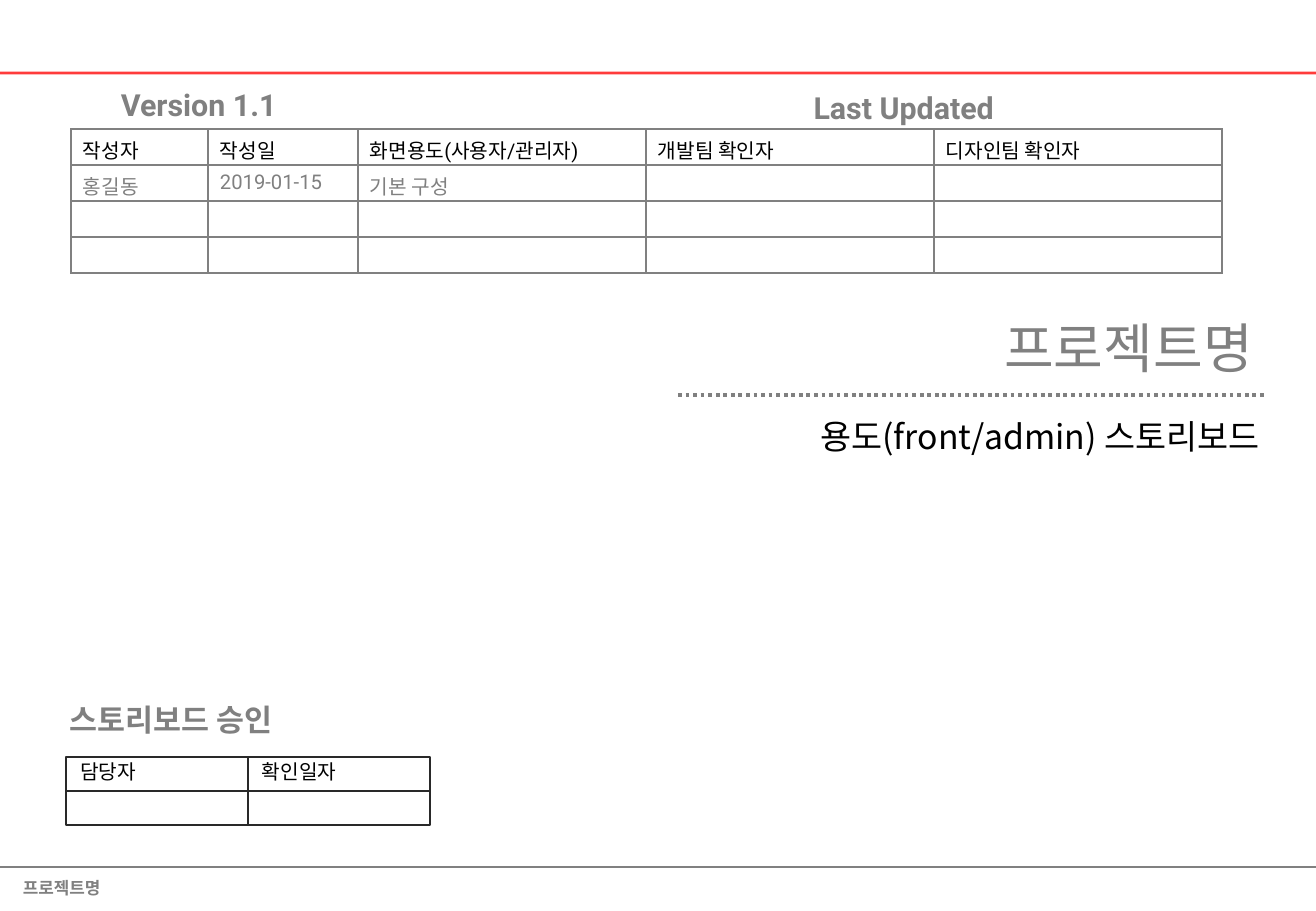
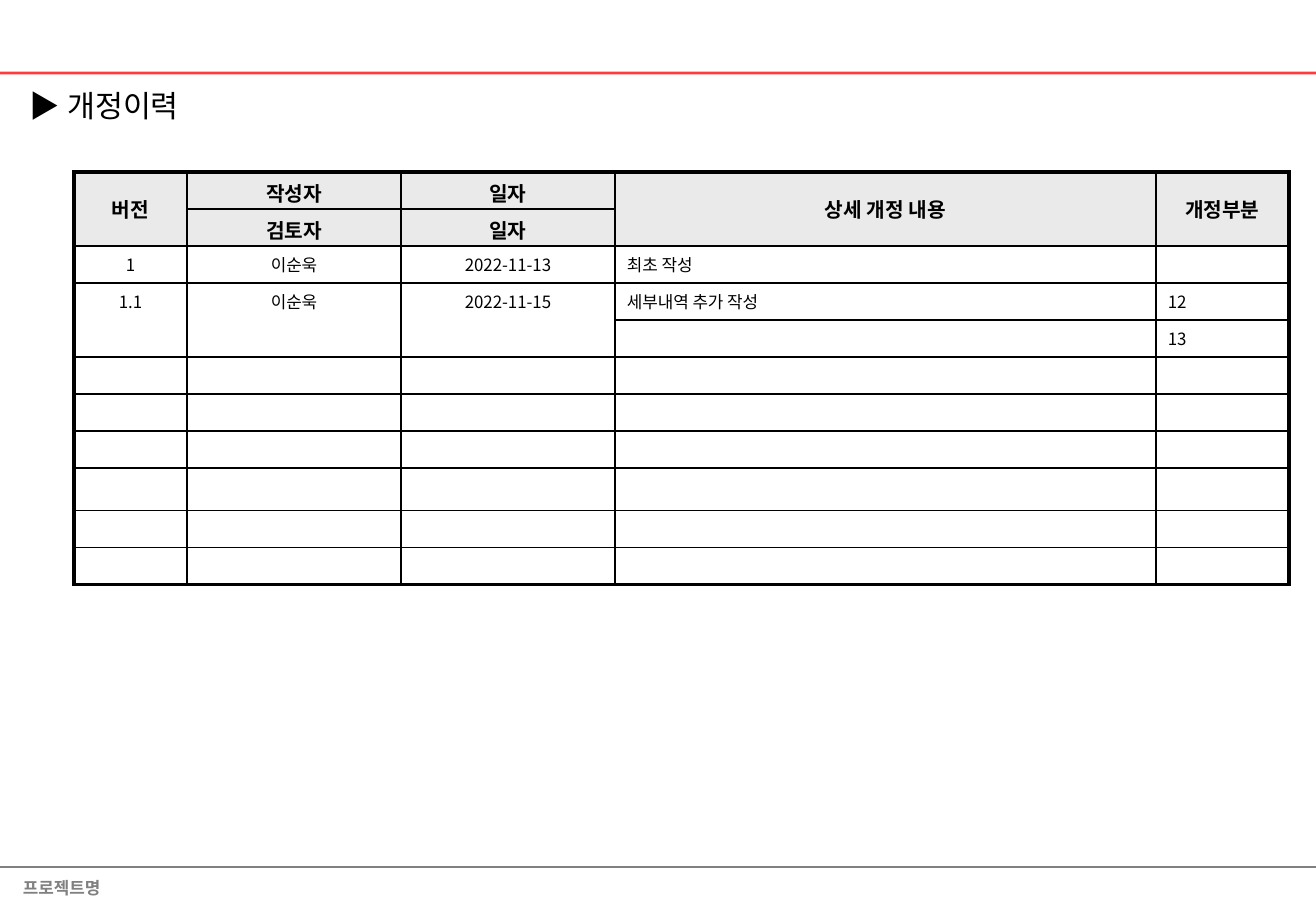
from lxml.etree import SubElement
from pptx import Presentation
from pptx.dml.color import RGBColor
from pptx.enum.dml import MSO_LINE_DASH_STYLE as Dash
from pptx.enum.shapes import MSO_CONNECTOR as Connector, MSO_SHAPE as Shape
from pptx.enum.text import MSO_ANCHOR as Anchor, PP_ALIGN as Align
from pptx.oxml.ns import qn
from pptx.util import Emu, Pt

SLIDE_W, SLIDE_H = 1316, 911
KOREAN, LATIN = "Noto Sans CJK KR", "Roboto"
GRAY, BLACK, RED = "808080", "000000", "FF0000"
HEADER_FILL, APPROVAL_LINE = "EAEAEA", "292929"
INSET, CELL_TOP = 12, 6
PROJECT = "프로젝트명"


def px(length):
    """Turn pixels (121.5 to the inch) into EMU."""
    return Emu(round(length * 914400 / 121.5))


def rgb(color):
    """Turn a hex string into a colour."""
    return RGBColor.from_string(color)


def style_text(paragraph, size, color, font=KOREAN, bold=False, align=Align.LEFT):
    """Format the runs of a paragraph, or its end mark when it is empty."""
    paragraph.alignment = align
    for run in paragraph.runs:
        run.font.size = Pt(size)
        run.font.bold = bold
        run.font.name = font
        run.font.color.rgb = rgb(color)
        SubElement(run.font._element, qn("a:ea"), typeface=KOREAN)
    if not paragraph.runs:
        SubElement(paragraph._p, qn("a:endParaRPr"), sz=str(size * 100))


def add_text(slide, box, text, size, color=GRAY, left=INSET, bottom=0,
             spacing=None, **style):
    """Add a one-paragraph text box, centred vertically above its bottom inset."""
    frame = slide.shapes.add_textbox(*map(px, box)).text_frame
    frame.word_wrap = True
    frame.vertical_anchor = Anchor.MIDDLE
    frame.margin_left, frame.margin_right = px(left), px(INSET)
    frame.margin_top, frame.margin_bottom = 0, px(bottom)
    frame.text = text
    paragraph = frame.paragraphs[0]
    if spacing:
        paragraph.line_spacing = spacing
    style_text(paragraph, size, color, **style)


def add_rule(slide, left, right, y, color, width, alpha=None, dash=None):
    """Add a horizontal line."""
    rule = slide.shapes.add_connector(Connector.STRAIGHT, px(left), px(y),
                                      px(right), px(y))
    rule.line.color.rgb = rgb(color)
    rule.line.width = Pt(width)
    if dash:
        rule.line.dash_style = dash
    properties = rule._element.spPr
    if alpha:
        tint = next(properties.iter(qn("a:srgbClr")))
        SubElement(tint, qn("a:alpha"), val=str(alpha * 1000))
    SubElement(properties, qn("a:effectLst"))


def add_frame(slide, box, color):
    """Add an unfilled outlined rectangle."""
    frame = slide.shapes.add_shape(Shape.RECTANGLE, *map(px, box))
    frame.shadow.inherit = False
    frame.fill.background()
    frame.line.color.rgb = rgb(color)
    frame.line.width = Pt(0.75)


def set_borders(cell, color, widths):
    """Draw the left, right, top and bottom borders of a cell."""
    properties = cell._tc.get_or_add_tcPr()
    for side, width in zip("LRTB", widths):
        border = SubElement(properties, qn(f"a:ln{side}"), w=str(Pt(width)))
        fill = SubElement(border, qn("a:solidFill"))
        SubElement(fill, qn("a:srgbClr"), val=color)


def add_grid(slide, left, top, columns, rows, border, outer=1):
    """Add an empty, unfilled table with 1 pt inner and given outer borders."""
    table = slide.shapes.add_table(len(rows), len(columns), px(left), px(top),
                                   px(sum(columns)), px(sum(rows))).table
    table.first_row = table.horz_banding = False
    for column, width in zip(table.columns, columns):
        column.width = px(width)
    for row, height in zip(table.rows, rows):
        row.height = px(height)
    last_row, last_column = len(rows) - 1, len(columns) - 1
    for r in range(len(rows)):
        for c in range(len(columns)):
            cell = table.cell(r, c)
            edges = (c == 0, c == last_column, r == 0, r == last_row)
            set_borders(cell, border, [outer if edge else 1 for edge in edges])
            cell.fill.background()
            cell.margin_left = cell.margin_right = px(INSET)
            cell.margin_top, cell.margin_bottom = px(CELL_TOP), 0
    return table


def fill_cell(cell, text, size, color=BLACK, **style):
    """Write and format the text of a cell."""
    cell.text = text
    style_text(cell.text_frame.paragraphs[0], size, color, **style)


def add_page(deck):
    """Add a slide with the shared header rule and footer."""
    slide = deck.slides.add_slide(deck.slide_layouts[6])
    add_rule(slide, 0, SLIDE_W, 73, RED, 1.5, alpha=76)
    add_rule(slide, 0, SLIDE_W, 867, GRAY, 0.75)
    add_text(slide, (11, 871, 108, 33), PROJECT, 10, bold=True)
    return slide


def add_version_table(slide):
    """Add the table of authors and reviewers of this version."""
    entries = [
        ["작성자", "작성일", "화면용도(사용자/관리자)", "개발팀 확인자", "디자인팀 확인자"],
        ["홍길동", "2019-01-15", "기본 구성", "", ""],
        [""] * 5,
        [""] * 5,
    ]
    table = add_grid(slide, 71, 129, [137, 150, 288, 288, 288], [36] * 4, GRAY)
    for r, entry in enumerate(entries):
        for c, text in enumerate(entry):
            fill_cell(table.cell(r, c), text, 12, GRAY if r else BLACK, font=LATIN)


def add_approval(slide):
    """Add the approval block: a heading above a two by two grid."""
    add_text(slide, (58, 695, 258, 49), "스토리보드 승인", 18, font=LATIN, bold=True)
    left, top, width, height = 66, 757, 182, 34
    for c, (label, label_width) in enumerate([("담당자", 85), ("확인일자", 104)]):
        x = left + c * width
        for r in range(2):
            add_frame(slide, (x, top + r * height, width, height), APPROVAL_LINE)
        add_text(slide, (x + 2, top - 4, label_width, 36), label, 12, BLACK)


def build_cover(deck):
    """Build the cover with version, project title and approval."""
    slide = add_page(deck)
    heading = dict(font=LATIN, bold=True)
    add_text(slide, (72, 80, 256, 49), "Version 1.1", 18, left=49, **heading)
    add_text(slide, (773, 83, 233, 49), "Last Updated", 18, align=Align.RIGHT, **heading)
    add_version_table(slide)
    add_approval(slide)
    add_rule(slide, 678, 1266, 395, GRAY, 2.25, dash=Dash.ROUND_DOT)
    add_text(slide, (512, 398, 760, 106), "용도(front/admin) 스토리보드", 20, BLACK,
             bottom=42, spacing=1.3, align=Align.RIGHT)
    add_text(slide, (514, 307, 751, 90), PROJECT, 32, bottom=11, align=Align.RIGHT)


def build_history(deck):
    """Build the revision history."""
    slide = add_page(deck)
    add_text(slide, (18, 83, 431, 56), "▶ 개정이력", 18, BLACK, bottom=12)
    headers = [
        ["버전", "작성자", "일자", "상세 개정 내용", "개정부분"],
        ["", "검토자", "일자", "", ""],
    ]
    revisions = [
        ["1", "이순욱", "2022-11-13", "최초 작성", ""],
        ["1.1", "이순욱", "2022-11-15", "세부내역 추가 작성", "12"],
        ["", "", "", "", "13"],
    ] + [[""] * 5] * 6
    table = add_grid(slide, 74, 172, [113, 214, 214, 541, 133],
                     [37] * 8 + [43] + [37] * 2, BLACK, outer=2.25)
    for r, entry in enumerate(headers + revisions):
        is_header = r < len(headers)
        for c, text in enumerate(entry):
            cell = table.cell(r, c)
            centred = is_header or c < 3
            fill_cell(cell, text, 12 if is_header else 10, bold=is_header,
                      align=Align.CENTER if centred else Align.LEFT)
            if is_header:
                cell.fill.solid()
                cell.fill.fore_color.rgb = rgb(HEADER_FILL)
    for c in (0, 3, 4):
        header = table.cell(0, c)
        header.merge(table.cell(1, c))
        header.vertical_anchor = Anchor.MIDDLE
        header.margin_top = 0
    for c in range(3):
        table.cell(3, c).merge(table.cell(4, c))


def main():
    """Build and save the deck."""
    deck = Presentation()
    deck.slide_width, deck.slide_height = px(SLIDE_W), px(SLIDE_H)
    build_cover(deck)
    build_history(deck)
    deck.save("out.pptx")


main()
